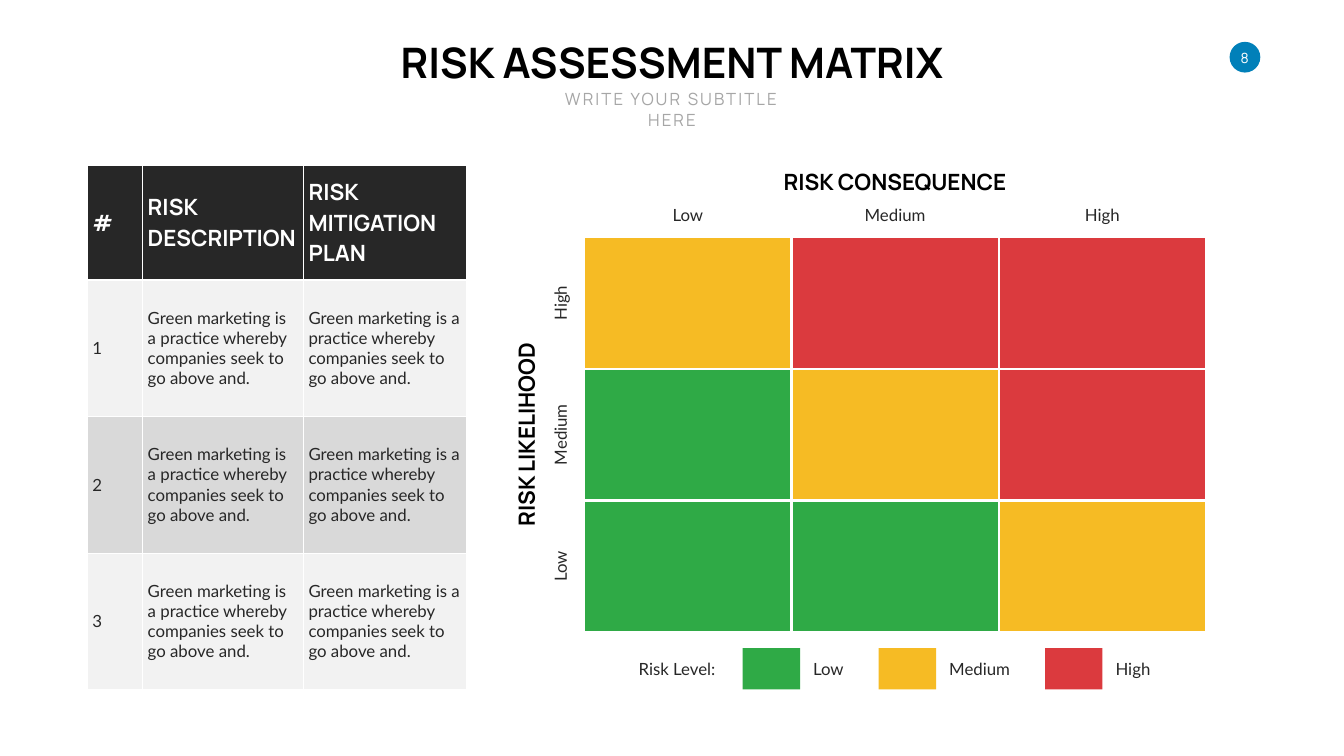
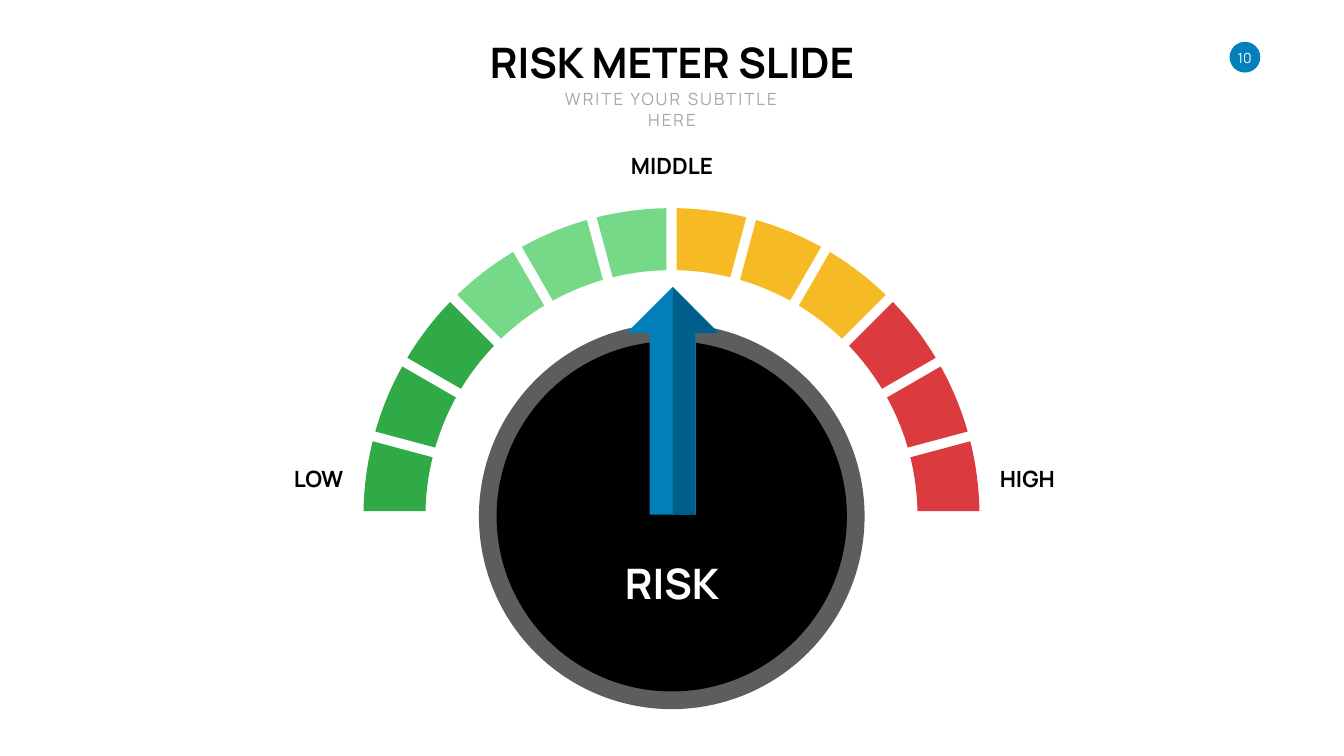
import math

from lxml import etree
from pptx import Presentation
from pptx import util as u
from pptx.dml.color import RGBColor
from pptx.enum import shapes, text
from pptx.oxml.ns import qn

COLORS = {
    "white": "FFFFFF", "black": "000000", "ink": "272727", "muted": "A6A6A6",
    "blue": "0180B9", "navy": "01608B", "rim": "5D5D5D",
    "row": "F2F2F2", "band": "D9D9D9",
    "low": "2FAA46", "mild": "75D988", "medium": "F6BB24", "high": "DB3A3E",
}
STYLES = {
    "title": ({"name": "Manrope", "size": u.Pt(60), "bold": True}, "black"),
    "subtitle": ({"name": "Manrope", "size": u.Pt(24), "bold": False}, "muted"),
    "heading": ({"name": "Manrope", "size": u.Pt(32), "bold": True}, "black"),
    "body": ({"name": "Lato", "size": u.Pt(24), "bold": False}, "ink"),
    "number": ({"name": "Manrope", "size": u.Pt(20), "bold": False}, "white"),
}
ALIGN = {"l": text.PP_ALIGN.LEFT, "c": text.PP_ALIGN.CENTER, "r": text.PP_ALIGN.RIGHT}
ANCHOR = {"t": text.MSO_ANCHOR.TOP, "m": text.MSO_ANCHOR.MIDDLE,
          "b": text.MSO_ANCHOR.BOTTOM}
SHAPE = shapes.MSO_SHAPE
WIDTH, HEIGHT = 26.66, 15
MID = WIDTH / 2
LEVELS = ("Low", "Medium", "High")
LABEL_WIDTHS = {"Low": 0.83, "Medium": 1.43, "High": 0.9}


def rgb(color):
    return RGBColor.from_string(COLORS[color])


def inches(*values):
    return [u.Inches(v) for v in values]


class Deck:
    def __init__(self):
        self.prs = Presentation()
        self.prs.slide_width, self.prs.slide_height = inches(WIDTH, HEIGHT)
        self.s = None

    def slide(self, number, title, title_width):
        """Start a slide with its page badge, title and subtitle."""
        self.s = self.prs.slides.add_slide(self.prs.slide_layouts[6])
        self.shape(SHAPE.OVAL, 24.39, 0.83, 0.61, 0.61, "blue")
        self.text(str(number), 24.69, 1.14, 0.41, 0.34, "number", anchor="m", inset=0)
        self.text(title, MID, 1.22, title_width, 1.11, "title", anchor="t")
        self.text("WRITE YOUR SUBTITLE HERE", MID, 1.97, 5.43, 0.5, "subtitle",
                  anchor="t", spacing=3)

    def paint(self, sp, fill, line=None):
        sp.shadow.inherit = False
        sp.fill.solid()
        sp.fill.fore_color.rgb = rgb(fill)
        if line:
            sp.line.color.rgb = rgb(line)
            sp.line.width = u.Pt(3)
        else:
            sp.line.fill.background()

    def shape(self, kind, x, y, w, h, fill, line=None):
        self.paint(self.s.shapes.add_shape(kind, *inches(x, y, w, h)), fill, line)

    def polygon(self, points, fill):
        start, *rest = [inches(*point) for point in points]
        builder = self.s.shapes.build_freeform(*start, scale=1.0)
        builder.add_line_segments(rest, close=True)
        self.paint(builder.convert_to_shape(), fill)

    def add_run(self, p, content, style, color=None, spacing=0):
        r = p.add_run()
        r.text = content
        values, default = STYLES[style]
        for key, value in values.items():
            setattr(r.font, key, value)
        r.font.color.rgb = rgb(color or default)
        if spacing:
            r._r.get_or_add_rPr().set("spc", str(spacing * 100))

    def text(self, content, cx, cy, w, h, style, color=None, align="c", anchor="b",
             rotation=0, inset=None, spacing=0):
        """Place one line of text around the centre (cx, cy)."""
        sp = self.s.shapes.add_textbox(*inches(cx - w / 2, cy - h / 2, w, h))
        sp.rotation = rotation
        tf = sp.text_frame
        tf.word_wrap = False
        tf.auto_size = text.MSO_AUTO_SIZE.SHAPE_TO_FIT_TEXT
        tf.vertical_anchor = ANCHOR[anchor]
        if inset is not None:
            for side in ("left", "top", "right", "bottom"):
                setattr(tf, f"margin_{side}", u.Inches(inset))
        p = tf.paragraphs[0]
        p.alignment = ALIGN[align]
        self.add_run(p, content, style, color, spacing)

    def level(self, name, cx, cy, **options):
        self.text(name, cx, cy, LABEL_WIDTHS[name], 0.5, "body", **options)

    def borders(self, cell, bottom):
        tcPr = cell._tc.get_or_add_tcPr()
        for side, points in (("L", 1), ("R", 1), ("T", 1), ("B", bottom)):
            ln = etree.SubElement(tcPr, qn(f"a:ln{side}"), w=str(int(u.Pt(points))))
            fill = etree.SubElement(ln, qn("a:solidFill"))
            etree.SubElement(fill, qn("a:srgbClr"), val=COLORS["white"])

    def table(self, x, y, widths, heights, rows):
        frame = self.s.shapes.add_table(len(rows), len(widths),
                                        *inches(x, y, sum(widths), sum(heights)))
        table = frame.table
        table.horz_banding = False
        for column, width in zip(table.columns, widths):
            column.width = u.Inches(width)
        for i, (row, height) in enumerate(zip(rows, heights)):
            table.rows[i].height = u.Inches(height)
            fill = "ink" if i == 0 else ("band", "row")[i % 2]
            style, color = ("heading", "white") if i == 0 else ("body", "ink")
            for j, content in enumerate(row):
                cell = table.cell(i, j)
                cell.vertical_anchor = ANCHOR["m"]
                self.borders(cell, 3 if i == 0 else 1)
                cell.fill.solid()
                cell.fill.fore_color.rgb = rgb(fill)
                tf = cell.text_frame
                for k, line in enumerate(content.split("\n")):
                    p = tf.add_paragraph() if k else tf.paragraphs[0]
                    self.add_run(p, line, style, color)


def matrix_slide(deck):
    deck.slide(8, "RISK ASSESSMENT MATRIX", 11.26)

    left, top, w, h = 11.59, 4.71, 4.11, 2.61
    grid = (("medium", "high", "high"),
            ("low", "medium", "high"),
            ("low", "low", "medium"))
    for i, row in enumerate(grid):
        for j, risk in enumerate(row):
            deck.shape(SHAPE.RECTANGLE, left + j * w, top + i * h, w, h, risk, "white")
    for i, name in enumerate(LEVELS):
        deck.level(name, left + (i + 0.5) * w, 4.27)
        deck.level(name, 11.11, top + (2.5 - i) * h, rotation=270)
    deck.text("RISK CONSEQUENCE", left + 1.5 * w, 3.6, 4.69, 0.64, "heading")
    deck.text("RISK LIKELIHOOD", 10.43, top + 1.5 * h, 3.92, 0.64, "heading",
              rotation=270)

    legend_y = 13.27
    deck.text("Risk Level:", 13.45, legend_y, 1.76, 0.5, "body", align="l", anchor="m")
    x = 14.73
    for name in LEVELS:
        deck.shape(SHAPE.RECTANGLE, x, legend_y - 0.41, 1.14, 0.82, name.lower())
        width = LABEL_WIDTHS[name]
        deck.level(name, x + 1.3 + width / 2, legend_y, align="l", anchor="m")
        x += 1.3 + width + 0.57

    plan = "Green marketing is a practice whereby companies seek to go above and."
    rows = [("#", "RISK\nDESCRIPTION", "RISK MITIGATION PLAN")]
    rows += [(str(n), plan, plan) for n in (1, 2, 3)]
    deck.table(1.73, 3.28, (1.1, 3.19, 3.23), (2.27, 2.71, 2.71, 2.71), rows)


def gauge_segment(index, count, cx, cy, inner, outer, half_gap, steps=10):
    """Outline of one ring segment, with parallel gaps beside its neighbours."""
    points = []
    for radius, order in ((outer, range(steps + 1)), (inner, range(steps, -1, -1))):
        pad = math.asin(half_gap / radius)
        start = math.pi * index / count + pad
        sweep = math.pi / count - 2 * pad
        for k in order:
            angle = start + sweep * k / steps
            points.append((cx - radius * math.cos(angle), cy - radius * math.sin(angle)))
    return points


def meter_slide(deck):
    deck.slide(10, "RISK METER SLIDE", 7.43)

    deck.shape(SHAPE.OVAL, 9.5, 6.42, 7.65, 7.65, "rim")
    deck.shape(SHAPE.OVAL, 9.85, 6.77, 6.95, 6.95, "black")
    deck.shape(SHAPE.UP_ARROW, 12.43, 5.69, 1.83, 4.52, "blue")

    zones = [zone for zone in ("low", "mild", "medium", "high") for _ in range(3)]
    for i, zone in enumerate(zones):
        deck.polygon(gauge_segment(i, len(zones), 13.32, 10.24, 4.88, 6.11, 0.1), zone)

    deck.polygon(((13.35, 5.7), (14.25, 6.61), (13.79, 6.61), (13.79, 10.21),
                  (13.35, 10.21)), "navy")

    deck.text("RISK", MID, 11.57, 2.1, 1.11, "title", "white", anchor="m")
    deck.text("LOW", 6.29, 9.49, 1.24, 0.64, "heading", align="r", anchor="m")
    deck.text("HIGH", 20.4, 9.49, 1.33, 0.64, "heading", align="l", anchor="m")
    deck.text("MIDDLE", MID, 3.29, 1.86, 0.64, "heading")


def main():
    deck = Deck()
    matrix_slide(deck)
    meter_slide(deck)
    deck.prs.save("out.pptx")


if __name__ == "__main__":
    main()
